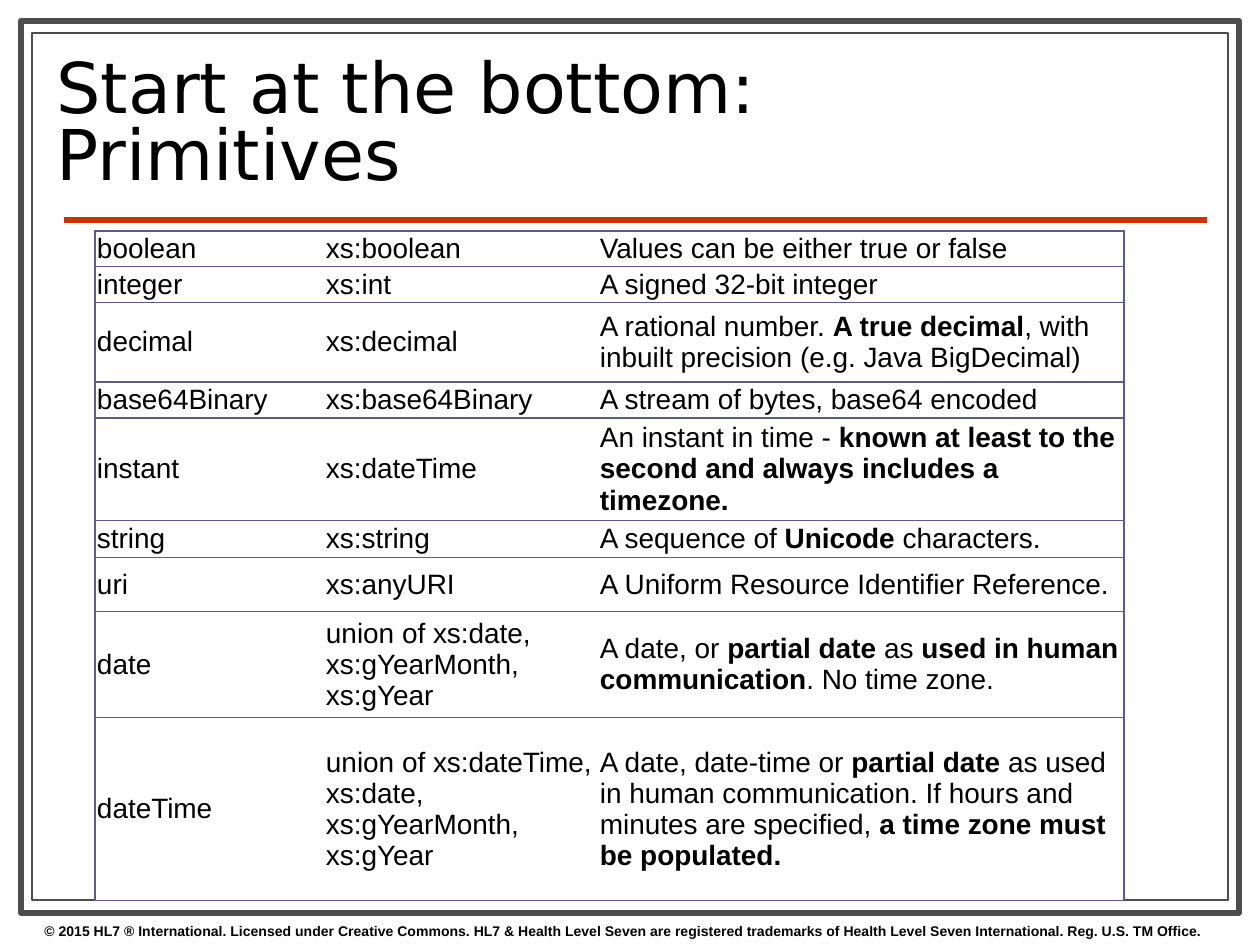
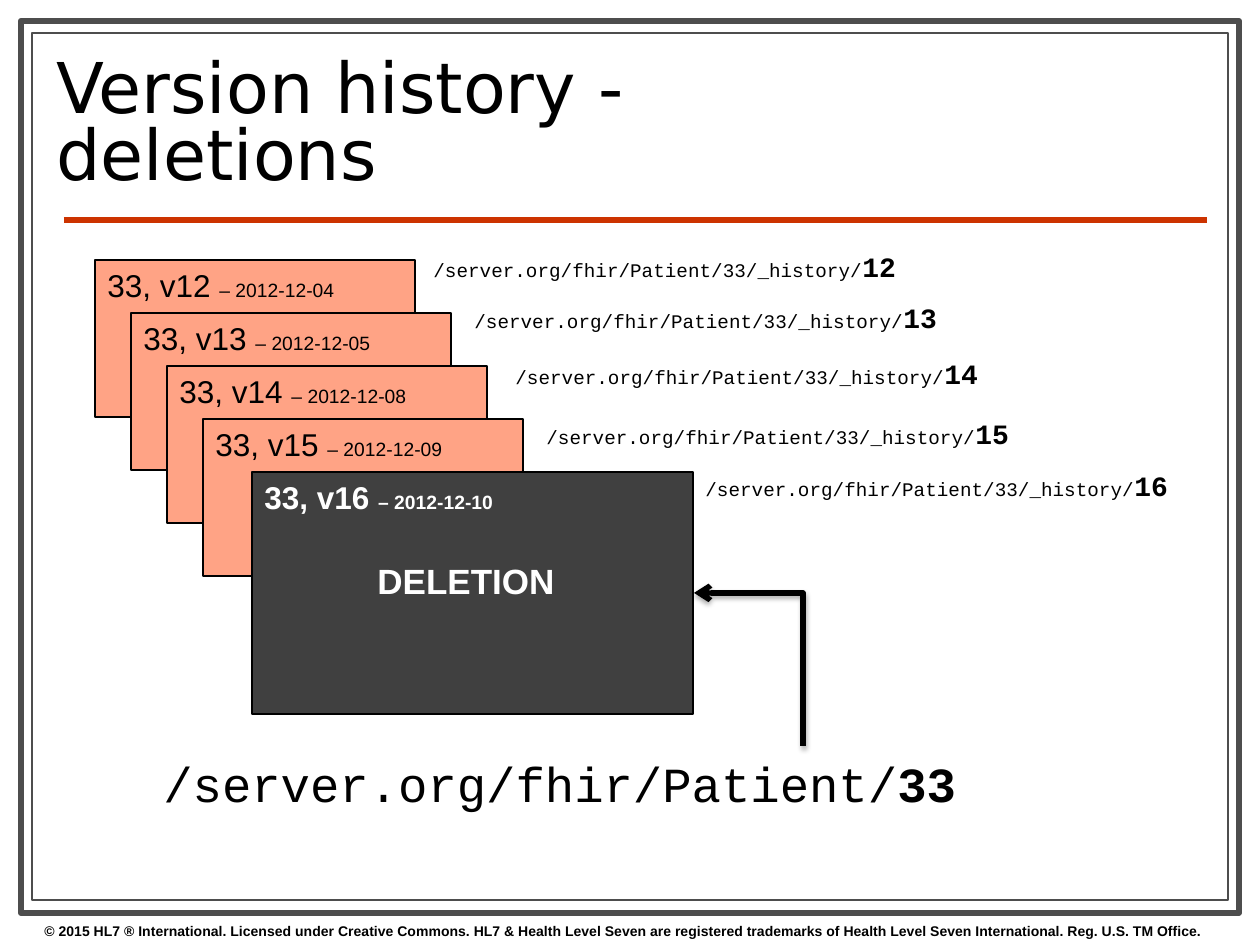
from lxml.etree import SubElement
from pptx import Presentation
from pptx.dml.color import RGBColor
from pptx.enum.shapes import MSO_CONNECTOR, MSO_SHAPE
from pptx.enum.text import MSO_ANCHOR, PP_ALIGN
from pptx.oxml.ns import qn
from pptx.util import Emu, Pt

COLORS = {
    "paper": "FFFFFF",
    "text": "000000",
    "frame": "4D4D4D",
    "rule": "CC3300",
    "grid": "5C5C8A",
    "version": "FFA385",
    "deleted": "404040",
}
TITLE_FONT, BODY_FONT, CODE_FONT = "DejaVu Sans", "Arial", "Courier New"

FOOTER = (
    "© 2015 HL7 ® International. Licensed under Creative Commons. "
    "HL7 & Health Level Seven are registered trademarks of "
    "Health Level Seven International. Reg. U.S. TM Office."
)
FRAMES = [((21, 21, 1218, 892), 3.5), ((32, 33, 1196, 867), 0.75)]

PRIMITIVES_TITLE = "Start at the bottom: Primitives"
PRIMITIVES = [
    (34, "boolean", "xs:boolean", ["Values can be either true or false"]),
    (34, "integer", "xs:int", ["A signed 32-bit integer"]),
    (80, "decimal", "xs:decimal",
     ["A rational number. ", "A true decimal",
      ", with inbuilt precision (e.g. Java BigDecimal)"]),
    (34, "base64Binary", "xs:base64Binary", ["A stream of bytes, base64 encoded"]),
    (96, "instant", "xs:dateTime",
     ["An instant in time - ",
      "known at least to the second and always includes a timezone."]),
    (37, "string", "xs:string", ["A sequence of ", "Unicode", " characters."]),
    (54, "uri", "xs:anyURI", ["A Uniform Resource Identifier Reference."]),
    (106, "date", "union of xs:date, xs:gYearMonth, xs:gYear",
     ["A date, or ", "partial date ", "as ", "used in human communication",
      ". No time zone."]),
    (183, "dateTime", "union of xs:dateTime, xs:date, xs:gYearMonth, xs:gYear",
     ["A date, date-time or ", "partial date ",
      "as used in human communication. If hours and minutes are specified, ",
      "a time zone must be populated."]),
]
COLUMN_WIDTHS = [229, 274, 526]
TABLE_LEFT, TABLE_TOP = 95, 231

HISTORY_TITLE = "Version history - deletions"
VERSIONS = [
    ("12", "2012-12-04", (421, 243)),
    ("13", "2012-12-05", (462, 294)),
    ("14", "2012-12-08", (503, 350)),
    ("15", "2012-12-09", (534, 410)),
    ("16", "2012-12-10", (693, 462)),
]
RESOURCE_PATH = "/server.org/fhir/Patient/"
RESOURCE_ID = "33"
CARD_START, CARD_STEP, CARD_SIZE = (95, 260), (36, 53), (320, 157)
DELETED_BOX = (252, 472, 441, 242)
ARROW_START, ARROW_END = (803, 746), (694, 593)


def px(value):
    return Emu(round(value * 914400 / 126))


def rgb(name):
    return RGBColor.from_string(COLORS[name])


def write(para, spans, font=BODY_FONT, color="text"):
    for text, size, bold in spans:
        span = para.add_run()
        span.text = text
        span.font.name = font
        span.font.size = Pt(size)
        span.font.bold = bold
        span.font.color.rgb = rgb(color)


def add_text(page, area, spans, font=BODY_FONT, anchor=MSO_ANCHOR.TOP):
    box = page.shapes.add_textbox(*map(px, area))
    box.text_frame.word_wrap = True
    box.text_frame.vertical_anchor = anchor
    para = box.text_frame.paragraphs[0]
    write(para, spans, font)
    return para


def add_box(page, area, fill, line, width):
    box = page.shapes.add_shape(MSO_SHAPE.RECTANGLE, *map(px, area))
    box.shadow.inherit = False
    box.fill.solid()
    box.fill.fore_color.rgb = rgb(fill)
    box.line.color.rgb = rgb(line)
    box.line.width = Pt(width)
    return box


def add_line(page, kind, start, end, color, width):
    line = page.shapes.add_connector(kind, *map(px, (*start, *end)))
    line.line.color.rgb = rgb(color)
    line.line.width = Pt(width)
    effects = SubElement(line._element.spPr, qn("a:effectLst"))
    return line, effects


def add_page(deck, title):
    page = deck.slides.add_slide(deck.slide_layouts[6])
    for area, width in FRAMES:
        add_box(page, area, "paper", "frame", width)
    add_line(page, MSO_CONNECTOR.STRAIGHT, (64, 220), (1207, 220), "rule", 3)
    add_text(page, (32, 916, 1224, 29), [(FOOTER, 8, True)])
    heading = add_text(page, (44, 45, 903, 163), [(title, 40, False)],
                       TITLE_FONT, MSO_ANCHOR.MIDDLE)
    heading.line_spacing = 0.8
    return page


def set_borders(cell, sides):
    properties = cell._tc.get_or_add_tcPr()
    for side in "LRTB":
        border = SubElement(properties, qn(f"a:ln{side}"), w=str(Pt(1)))
        if side in sides:
            fill = SubElement(border, qn("a:solidFill"))
            SubElement(fill, qn("a:srgbClr"), val=COLORS["grid"])
        else:
            SubElement(border, qn("a:noFill"))


def add_primitives(page):
    heights = [row[0] for row in PRIMITIVES]
    area = (TABLE_LEFT, TABLE_TOP, sum(COLUMN_WIDTHS), sum(heights))
    table = page.shapes.add_table(
        len(heights), len(COLUMN_WIDTHS), *map(px, area)).table
    table.first_row = table.horz_banding = False
    for column, width in zip(table.columns, COLUMN_WIDTHS):
        column.width = px(width)
    for row, (height, name, schema, meaning) in zip(table.rows, PRIMITIVES):
        row.height = px(height)
        contents = [[name], [schema], meaning]
        for cell, parts, sides in zip(row.cells, contents, ("LTB", "TB", "RTB")):
            set_borders(cell, sides)
            cell.fill.solid()
            cell.fill.fore_color.rgb = rgb("paper")
            cell.margin_left = cell.margin_right = px(2)
            cell.margin_top = cell.margin_bottom = px(1)
            cell.vertical_anchor = MSO_ANCHOR.MIDDLE
            spans = [(part, 16, i % 2 == 1) for i, part in enumerate(parts)]
            write(cell.text_frame.paragraphs[0], spans)


def add_version(page, index, version, date):
    deleted = index == len(VERSIONS) - 1
    left, top = (start + index * step for start, step in zip(CARD_START, CARD_STEP))
    area = DELETED_BOX if deleted else (left, top, *CARD_SIZE)
    color = "paper" if deleted else "text"
    card = add_box(page, area, "deleted" if deleted else "version", "text", 0.75)
    frame = card.text_frame
    frame.vertical_anchor = MSO_ANCHOR.TOP
    para = frame.paragraphs[0]
    para.alignment = PP_ALIGN.LEFT
    write(para, [(f"{RESOURCE_ID}, v{version} ", 18, deleted),
                 (f"– {date}", 11, deleted)], color=color)
    if deleted:
        notice = frame.add_paragraph()
        notice.alignment = PP_ALIGN.LEFT
        notice.space_before = Pt(25)
        notice._p.get_or_add_pPr().set("marL", str(px(113)))
        write(notice, [("DELETION", 20, True)], color=color)


def add_current_arrow(page):
    (x1, y1), (x2, y2) = ARROW_START, ARROW_END
    middle_x, middle_y = (x1 + x2) / 2, (y1 + y2) / 2
    half_width, half_height = (y1 - y2) / 2, (x1 - x2) / 2
    arrow, effects = add_line(
        page, MSO_CONNECTOR.ELBOW,
        (middle_x - half_width, middle_y + half_height),
        (middle_x + half_width, middle_y - half_height), "text", 3)
    properties = arrow._element.spPr
    properties.find(qn("a:xfrm")).set("rot", str(270 * 60000))
    properties.find(qn("a:prstGeom")).set("prst", "bentConnector2")
    SubElement(properties.find(qn("a:ln")), qn("a:tailEnd"), type="arrow")
    shadow = SubElement(effects, qn("a:outerShdw"), blurRad=str(Pt(3.1)),
                        dist=str(Pt(1.8)), dir=str(90 * 60000), rotWithShape="0")
    tint = SubElement(shadow, qn("a:srgbClr"), val=COLORS["text"])
    SubElement(tint, qn("a:alpha"), val="35000")


def add_history(page):
    for index, (version, date, (left, top)) in enumerate(VERSIONS):
        add_version(page, index, version, date)
        history = f"{RESOURCE_PATH}{RESOURCE_ID}/_history/"
        add_text(page, (left, top, 535, 47),
                 [(history, 11, False), (version, 16, True)], CODE_FONT)
    add_text(page, (151, 747, 867, 72),
             [(RESOURCE_PATH, 28, False), (RESOURCE_ID, 28, True)], CODE_FONT)
    add_current_arrow(page)


def main():
    deck = Presentation()
    deck.slide_width, deck.slide_height = px(1260), px(945)
    add_primitives(add_page(deck, PRIMITIVES_TITLE))
    add_history(add_page(deck, HISTORY_TITLE))
    deck.save("out.pptx")


if __name__ == "__main__":
    main()
